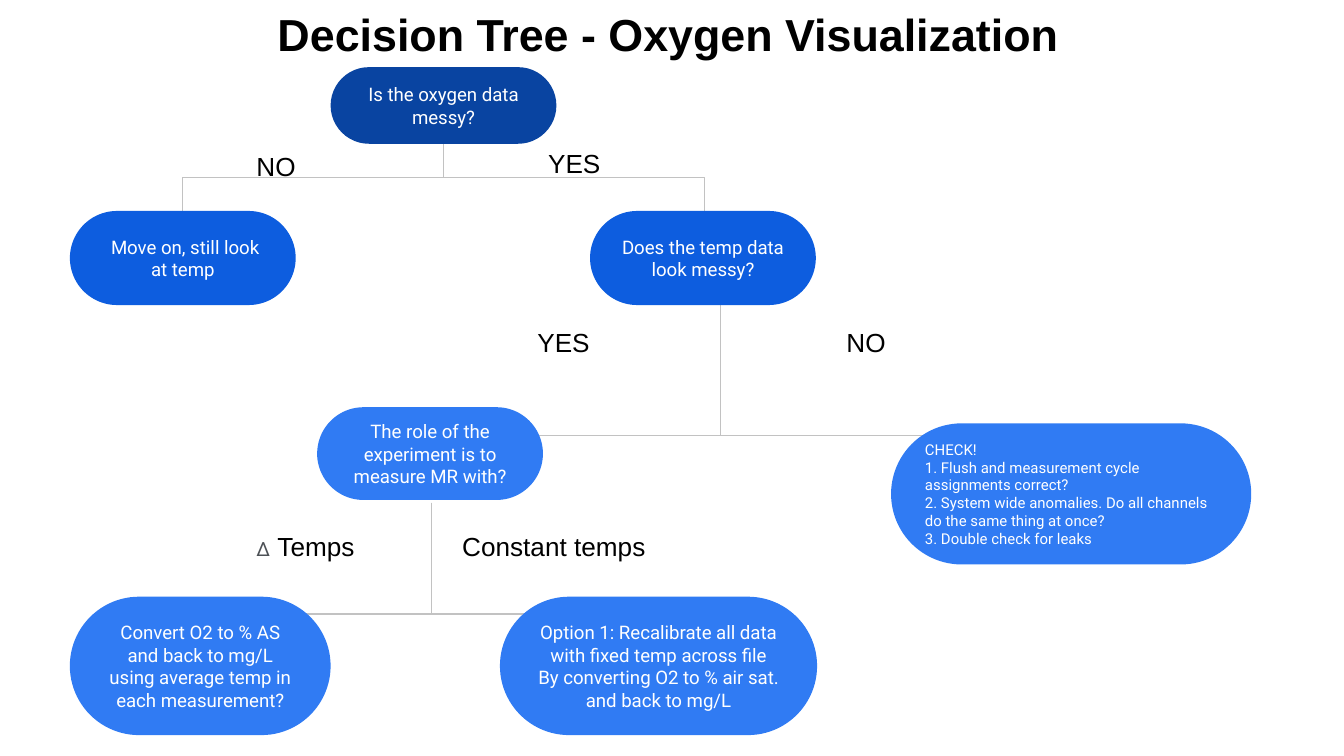
from lxml import etree
from pptx import Presentation
from pptx.dml.color import RGBColor
from pptx.enum.shapes import MSO_CONNECTOR, MSO_SHAPE
from pptx.enum.text import MSO_ANCHOR, MSO_AUTO_SIZE, PP_ALIGN
from pptx.oxml.ns import qn
from pptx.util import Pt

PX = 9144
SLIDE_WIDTH = 1000
ELBOW = MSO_CONNECTOR.ELBOW
PILL = MSO_SHAPE.ROUNDED_RECTANGLE
TOP, MIDDLE = MSO_ANCHOR.TOP, MSO_ANCHOR.MIDDLE
LEFT, CENTER = PP_ALIGN.LEFT, PP_ALIGN.CENTER
NO_FIT = MSO_AUTO_SIZE.NONE

COLORS = {
    "root": "0944A1", "second": "0D5DDF", "third": "307BF3", "line": "C2C2C2",
    "white": "FFFFFF", "black": "000000", "delta": "4D5156",
}
TITLE = {"name": "Arial", "size": Pt(24), "bold": True, "color": "black"}
LABEL = {"name": "Arial", "size": Pt(14), "color": "black"}
DELTA = {"name": "Roboto", "size": Pt(10.5), "color": "delta"}
NODE = {"name": "Roboto", "size": Pt(10), "color": "white"}
CHECK = {**NODE, "size": Pt(8)}

FORKS = [
    ((136, 107, 388, 50), True, [
        ((262, -7, 66, 26), [("YES", LABEL)]),
        ((45, -5, 73, 26), [("NO", LABEL)]),
    ]),
    ((321, 207, 430, 117), False, [
        ((69, 26, 73, 26), [("YES", LABEL)]),
        ((299, 26, 73, 26), [("NO", LABEL)]),
    ]),
    ((159, 374, 324, 83), False, [
        ((22, 11, 168, 26), [("Δ", DELTA), (" Temps", LABEL)]),
        ((175, 11, 168, 26), [("Constant temps", LABEL)]),
    ]),
]
NODES = [
    ((246, 50, 168, 57), "root", NODE, CENTER, ["Is the oxygen data messy?"]),
    ((439, 157, 168, 70), "second", NODE, CENTER, ["Does the temp data look messy?"]),
    ((52, 157, 168, 70), "second", NODE, CENTER, [" Move on, still look at temp"]),
    ((52, 444, 194, 103), "third", NODE, CENTER, [
        "Convert O2 to % AS and back to mg/L using average temp in each measurement?",
    ]),
    ((663, 315, 268, 105), "third", CHECK, LEFT, [
        "CHECK!",
        "1. Flush and measurement cycle assignments correct?",
        "2. System wide anomalies. Do all channels do the same thing at once?",
        "3. Double check for leaks",
    ]),
    ((236, 303, 168, 69), "third", NODE, CENTER, [
        "The role of the experiment is to measure MR with?",
    ]),
    ((372, 444, 236, 103), "third", NODE, CENTER, [
        "Option 1: Recalibrate all data with fixed temp across file",
        "By converting O2 to % air sat. and back to mg/L",
    ]),
]


def emu(*lengths):
    """Turn px lengths into EMU."""
    return [round(length * PX) for length in lengths]


def rgb(name):
    """Look up a named colour."""
    return RGBColor.from_string(COLORS[name])


def write(sp, paragraphs, align, anchor):
    """Fill a shape with paragraphs of (text, format) runs."""
    tf = sp.text_frame
    frame = {"word_wrap": True, "auto_size": NO_FIT, "vertical_anchor": anchor}
    frame.update({f"margin_{side}": 10 * PX for side in ("left", "top", "right", "bottom")})
    for key, value in frame.items():
        setattr(tf, key, value)
    for i, runs in enumerate(paragraphs):
        p = tf.add_paragraph() if i else tf.paragraphs[0]
        p.alignment = align
        for text, style in runs:
            r = p.add_run()
            r.text = text
            for key, value in style.items():
                if key == "color":
                    r.font.color.rgb = rgb(value)
                else:
                    setattr(r.font, key, value)


def add_title(s, box):
    """Place and format the slide title."""
    sp = s.shapes.title
    sp.left, sp.top, sp.width, sp.height = emu(*box)
    write(sp, [[("Decision Tree - Oxygen Visualization", TITLE)]], CENTER, TOP)


def add_elbow(s, start, end, mid_bend):
    """Draw an elbow that drops first, then bends halfway or at the end."""
    rotation = 0
    if mid_bend:
        cx, cy = (start[0] + end[0]) / 2, (start[1] + end[1]) / 2
        sign = 1 if end[0] < start[0] else -1
        rotation = 90 if sign == 1 else 270
        start, end = [
            (cx + sign * (y - cy), cy - sign * (x - cx)) for x, y in (start, end)
        ]
    line = s.shapes.add_connector(ELBOW, *emu(*start, *end))
    line.line.color.rgb = rgb("line")
    line.line.width = Pt(0.75)
    props = line._element.spPr
    etree.SubElement(props, qn("a:effectLst"))
    if rotation:
        props.find(qn("a:xfrm")).set("rot", str(rotation * 60000))
    guides = props.find(qn("a:prstGeom")).get_or_add_avLst()
    guide = etree.SubElement(guides, qn("a:gd"))
    guide.set("name", "adj1")
    guide.set("fmla", "val 50000" if mid_bend else "val 0")


def add_fork(s, box, mid_bend, labels):
    """Draw two branches from the top centre of a box, with their labels."""
    x, y, w, h = box
    for end_x in (x + w, x):
        add_elbow(s, (x + w / 2, y), (end_x, y + h), mid_bend)
    for (dx, dy, label_w, label_h), runs in labels:
        sp = s.shapes.add_textbox(*emu(x + dx, y + dy, label_w, label_h))
        write(sp, [runs], LEFT, TOP)


def add_node(s, box, color, style, align, lines):
    """Draw one pill-shaped node of the tree."""
    sp = s.shapes.add_shape(PILL, *emu(*box))
    sp.adjustments[0] = 0.5
    sp.shadow.inherit = False
    sp.fill.solid()
    sp.fill.fore_color.rgb = rgb(color)
    sp.line.fill.background()
    write(sp, [[(text, style)] for text in lines], align, MIDDLE)


def main():
    """Build and save the decision tree slide."""
    prs = Presentation()
    prs.slide_width, prs.slide_height = emu(SLIDE_WIDTH, SLIDE_WIDTH * 9 / 16)
    s = prs.slides.add_slide(prs.slide_layouts[5])
    add_title(s, (136, -5, 722, 100))
    for fork in FORKS:
        add_fork(s, *fork)
    for node in NODES:
        add_node(s, *node)
    prs.save("out.pptx")


if __name__ == "__main__":
    main()
